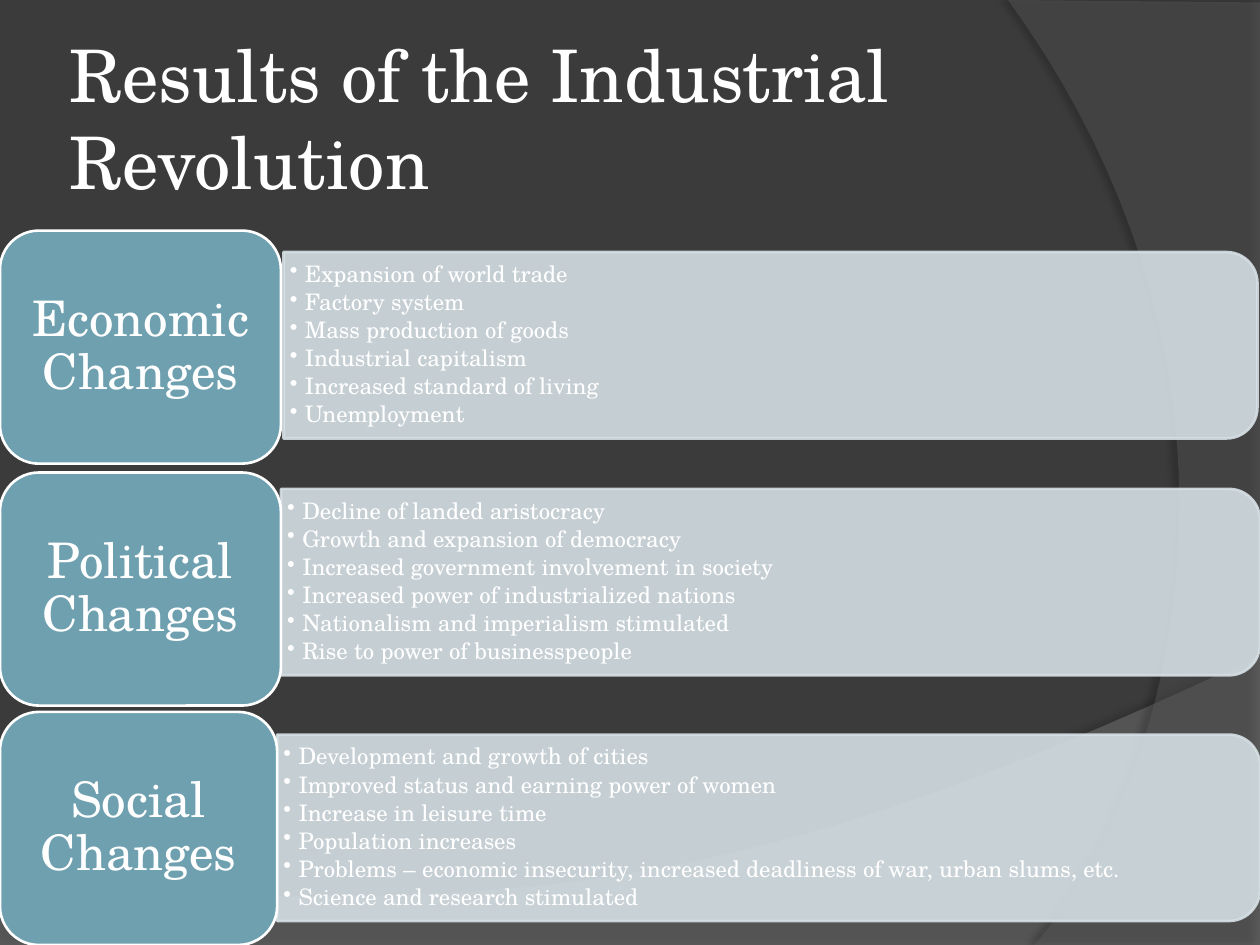
from lxml import etree
from pptx import Presentation
from pptx.dml.color import RGBColor
from pptx.enum.shapes import MSO_SHAPE
from pptx.enum.text import MSO_ANCHOR, PP_ALIGN
from pptx.oxml.ns import qn
from pptx.util import Inches, Pt

FONT = "TeX Gyre Schola"
WHITE = RGBColor(0xFF, 0xFF, 0xFF)
BACKGROUND = RGBColor(0x3B, 0x3B, 0x3B)
WAVE_GREY = RGBColor(0x7F, 0x7F, 0x7F)
ARC_GREY = RGBColor(0x5E, 0x5E, 0x5E)
TEAL = RGBColor(0x6E, 0xA0, 0xB0)
PALE_BLUE = RGBColor(0xD5, 0xDF, 0xE4)

ROUND_RECT = MSO_SHAPE.ROUNDED_RECTANGLE
ROUND_TOP = MSO_SHAPE.ROUND_2_SAME_RECTANGLE
MIDDLE = MSO_ANCHOR.MIDDLE
LEFT = PP_ALIGN.LEFT
CENTER = PP_ALIGN.CENTER

LABEL_HEIGHT = 1.85
BAR_HEIGHT = 1.48
BULLET_INDENT = 0.12

SECTIONS = [
    ("Economic Changes", 1.83, 2.23, (2.25, 2.0, 7.73), [
        "Expansion of world trade",
        "Factory system",
        "Mass production of goods",
        "Industrial capitalism",
        "Increased standard of living",
        "Unemployment",
    ]),
    ("Political Changes", 3.75, 2.23, (2.23, 3.88, 7.77), [
        "Decline of landed aristocracy",
        "Growth and expansion of democracy",
        "Increased government involvement in society",
        "Increased power of industrialized nations",
        "Nationalism and imperialism stimulated",
        "Rise to power of businesspeople",
    ]),
    ("Social Changes", 5.65, 2.2, (2.2, 5.83, 7.8), [
        "Development and growth of cities",
        "Improved status and earning power of women",
        "Increase in leisure time",
        "Population increases",
        "Problems – economic insecurity, increased deadliness of war, urban slums, etc.",
        "Science and research stimulated",
    ]),
]


def set_alpha(parent, percent):
    for color in parent.iter(qn("a:srgbClr")):
        etree.SubElement(color, qn("a:alpha"), val=str(percent * 1000))


def paint(shape, fill, line=None, alpha=None):
    shape.shadow.inherit = False
    shape.fill.solid()
    shape.fill.fore_color.rgb = fill
    if line is None:
        shape.line.fill.background()
    else:
        shape.line.color.rgb = line
        shape.line.width = Pt(1.5)
    if alpha is not None:
        set_alpha(shape.element.spPr, alpha)


def add_shadow(shape, alpha, blur, distance, angle):
    effects = shape.element.spPr.find(qn("a:effectLst"))
    shadow = etree.SubElement(
        effects, qn("a:outerShdw"), blurRad=str(Pt(blur)), dist=str(Pt(distance)),
        dir=str(angle * 60000), algn="ctr", rotWithShape="0")
    etree.SubElement(shadow, qn("a:srgbClr"), val="000000")
    set_alpha(shadow, alpha)


def curve(start, control_1, control_2, end, steps=40):
    points = []
    for step in range(steps + 1):
        t = step / steps
        weights = ((1 - t) ** 3, 3 * t * (1 - t) ** 2, 3 * t ** 2 * (1 - t), t ** 3)
        corners = (start, control_1, control_2, end)
        points.append(tuple(sum(w * c[axis] for w, c in zip(weights, corners))
                            for axis in (0, 1)))
    return points


def add_outline(slide, points, fill, alpha):
    (start_x, start_y), *others = [(Inches(x), Inches(y)) for x, y in points]
    builder = slide.shapes.build_freeform(start_x, start_y)
    builder.add_line_segments(others, close=True)
    shape = builder.convert_to_shape()
    paint(shape, fill, alpha=alpha)
    return shape


def add_bullet(para):
    properties = para._p.get_or_add_pPr()
    properties.set("marL", str(Inches(BULLET_INDENT)))
    properties.set("indent", str(-Inches(BULLET_INDENT)))
    etree.SubElement(properties, qn("a:buChar"), char="•")


def write_text(frame, lines, size, align=LEFT, inset=(0.05, 0.05),
               spacing=None, after=0, bullets=False):
    frame.word_wrap = True
    frame.vertical_anchor = MIDDLE
    frame.margin_left = frame.margin_right = Inches(inset[0])
    frame.margin_top = frame.margin_bottom = Inches(inset[1])
    for index, line in enumerate(lines):
        para = frame.paragraphs[0] if index == 0 else frame.add_paragraph()
        para.alignment = align
        para.line_spacing = spacing
        para.space_before = Pt(0)
        para.space_after = Pt(after)
        if bullets:
            add_bullet(para)
        span = para.add_run()
        span.text = line
        span.font.name = FONT
        span.font.size = Pt(size)
        span.font.color.rgb = WHITE


def add_text(slide, left, top, width, height, lines, **text_format):
    box = slide.shapes.add_textbox(
        Inches(left), Inches(top), Inches(width), Inches(height))
    write_text(box.text_frame, lines, **text_format)


def add_bar(slide, left, top, width, items):
    bar = slide.shapes.add_shape(
        ROUND_TOP,
        Inches(left + (width - BAR_HEIGHT) / 2), Inches(top - (width - BAR_HEIGHT) / 2),
        Inches(BAR_HEIGHT), Inches(width))
    bar.rotation = 90
    paint(bar, PALE_BLUE, line=PALE_BLUE, alpha=90)
    add_text(slide, left, top + 0.07, width - 0.07, BAR_HEIGHT - 0.14, items,
             size=13, inset=(0.05, 0.03), spacing=0.9, after=2, bullets=True)


def add_label(slide, top, width, label):
    block = slide.shapes.add_shape(
        ROUND_RECT, 0, Inches(top), Inches(width), Inches(LABEL_HEIGHT))
    paint(block, TEAL, line=WHITE)
    add_text(slide, 0.09, top + 0.09, width - 0.18, LABEL_HEIGHT - 0.18, [label],
             size=28, align=CENTER, inset=(0.12, 0.06), spacing=0.9)


def add_backdrop(slide):
    slide.background.fill.solid()
    slide.background.fill.fore_color.rgb = BACKGROUND
    wave = curve((10, 5.2), (5.59, 7.29), (3.91, 7.19), (0, 7.05))
    wave_shape = add_outline(slide, [(0, 7.51), (10, 7.51)] + wave, WAVE_GREY, 45)
    add_shadow(wave_shape, alpha=35, blur=4, distance=3.5, angle=270)
    arc = curve((8.21, 7.5), (9.35, 6.19), (10.18, 3), (8, 0))
    arc_shape = add_outline(slide, [(10, 0.02), (10, 7.5)] + arc, ARC_GREY, 40)
    add_shadow(arc_shape, alpha=45, blur=4, distance=4, angle=180)


def add_title(slide, text):
    title = slide.shapes.title
    title.left, title.top = Inches(0.5), Inches(0.3)
    title.width, title.height = Inches(8.17), Inches(1.25)
    write_text(title.text_frame, [text], size=41.4)


def main():
    deck = Presentation()
    deck.slide_width, deck.slide_height = Inches(10), Inches(7.5)
    page = deck.slides.add_slide(deck.slide_layouts[5])
    add_backdrop(page)
    add_title(page, "Results of the Industrial Revolution")
    for label, label_top, label_width, bar_place, items in SECTIONS:
        add_bar(page, *bar_place, items)
        add_label(page, label_top, label_width, label)
    deck.save("out.pptx")


if __name__ == "__main__":
    main()
